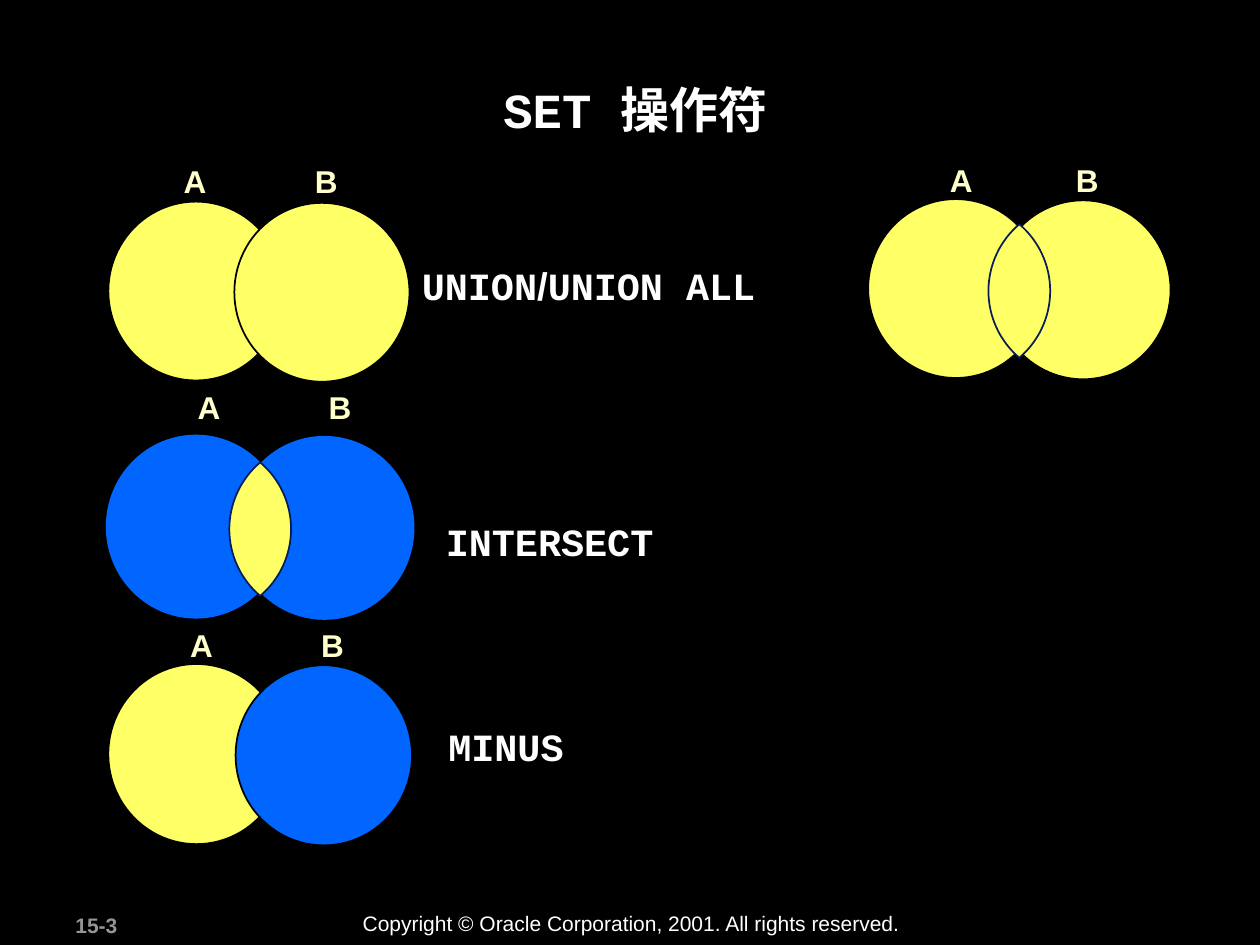
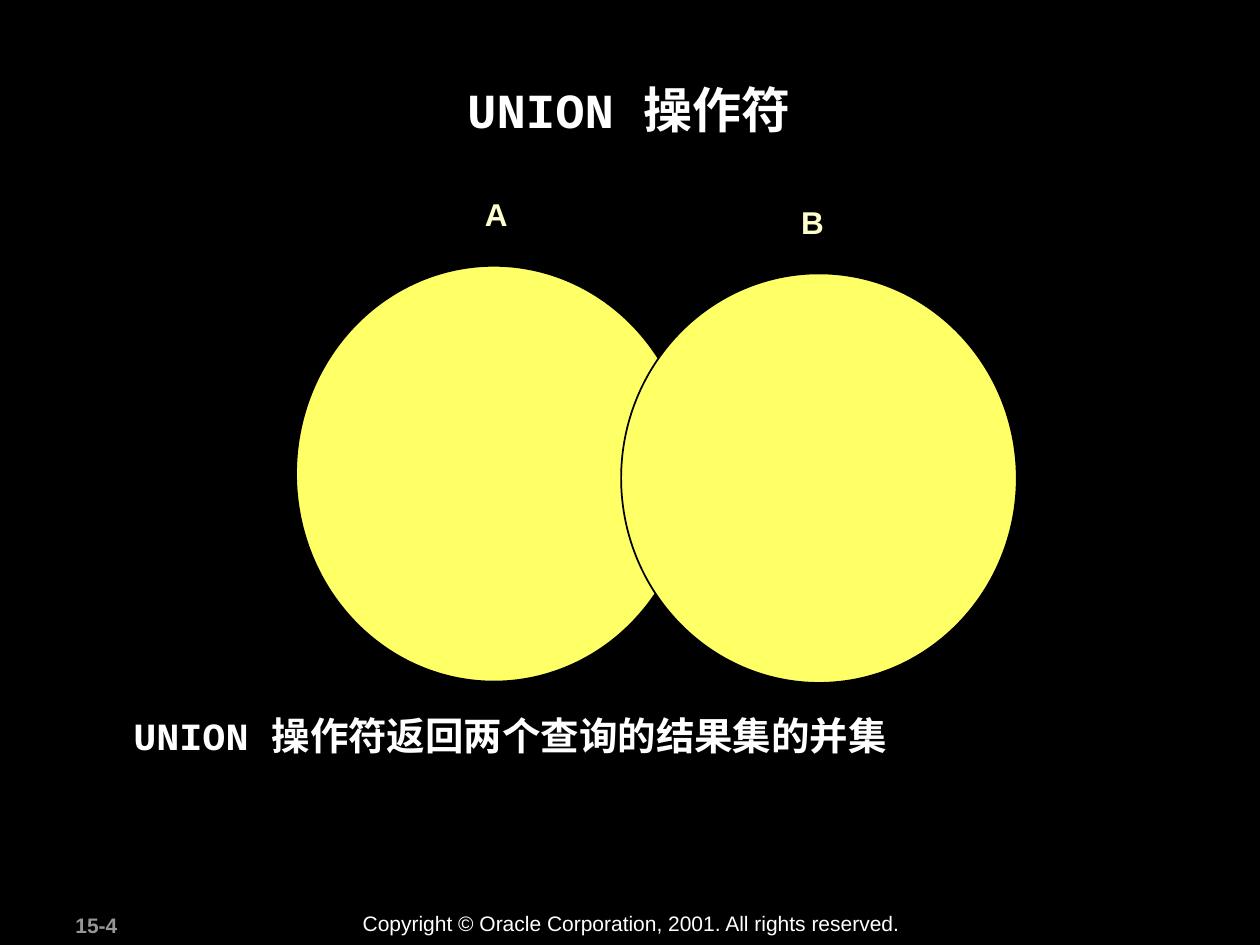
from dataclasses import dataclass
from math import asin, cos, pi, sin

from pptx import Presentation
from pptx.dml.color import RGBColor
from pptx.enum.shapes import MSO_SHAPE
from pptx.enum.text import PP_ALIGN
from pptx.util import Inches, Pt

COLORS = {
    "background": "000000",
    "text": "FFFFFF",
    "label": "FFFFCC",
    "number": "969696",
    "result": "FFFF66",
    "excluded": "0066FF",
    "lens_edge": "081D58",
}
SANS, MONO = "Arial", "Courier New"
LENS_SIZE = (0.49, 1.06)
LENS_DROP = 0.02
ARC_STEPS = 32


@dataclass
class Venn:
    """Two overlapping sets; every offset is relative to the origin."""
    origin: tuple
    size_a: tuple
    step: tuple
    label_at: tuple
    label_step: tuple
    fills: tuple = ("result", "result")
    edge: str = "background"
    size_b: tuple = None
    lens: bool = False


SET_VENNS = [
    Venn((0.86, 1.6), (1.39, 1.42), (1, 0.01), (0.5, -0.36), (1.04, 0)),
    Venn((6.89, 1.58), (1.39, 1.42), (1.01, 0.01), (0.55, -0.35), (1, 0),
         lens=True),
    Venn((0.84, 3.45), (1.43, 1.46), (1.02, 0.01), (0.63, -0.42), (1.04, 0),
         fills=("excluded", "excluded"), edge=None, lens=True),
    Venn((0.86, 5.27), (1.4, 1.43), (1.01, 0.01), (0.55, -0.35), (1.04, 0),
         fills=("result", "excluded")),
]
UNION_VENN = Venn((2.35, 2.11), (3.14, 3.3), (2.58, 0.06), (1.4, -0.61),
                  (2.51, 0.06), size_b=(3.14, 3.25))
OPERATORS = [
    ((3.25, 2.03, 3.7, 0.47),
     [("UNION", MONO), ("/", SANS), ("UNION ALL", MONO)]),
    ((3.44, 4.06, 1.85, 0.47), [("INTERSECT", MONO)]),
    ((3.46, 5.69, 1.12, 0.47), [("MINUS", MONO)]),
]


def rgb(name):
    return RGBColor.from_string(COLORS[name])


def add_text(slide, box, parts, size, color="text", bold=True,
             align=PP_ALIGN.LEFT, wrap=True):
    """Write one paragraph made of (text, font name) parts."""
    frame = slide.shapes.add_textbox(*map(Inches, box)).text_frame
    frame.word_wrap = wrap
    paragraph = frame.paragraphs[0]
    paragraph.alignment = align
    paragraph.font.size = Pt(size)
    paragraph.font.bold = bold
    paragraph.font.color.rgb = rgb(color)
    for text, font_name in parts:
        run = paragraph.add_run()
        run.text = text
        run.font.name = font_name
    return paragraph


def paint(shape, fill, edge):
    shape.shadow.inherit = False
    shape.fill.solid()
    shape.fill.fore_color.rgb = rgb(fill)
    if edge:
        shape.line.color.rgb = rgb(edge)
        shape.line.width = Pt(1)
    else:
        shape.line.fill.background()


def draw_lens(slide, center_x, center_y):
    """Draw the intersection as two mirrored circular arcs."""
    width, height = LENS_SIZE
    radius = (width ** 2 + height ** 2) / (4 * width)
    half_angle = asin(height / 2 / radius)
    shift = radius - width / 2
    points = []
    for side, start in ((-1, -half_angle), (1, pi - half_angle)):
        for i in range(ARC_STEPS):
            angle = start + 2 * half_angle * i / ARC_STEPS
            points.append((Inches(center_x + side * shift + radius * cos(angle)),
                           Inches(center_y + radius * sin(angle))))
    builder = slide.shapes.build_freeform(*points[0], scale=1.0)
    builder.add_line_segments(points[1:], close=True)
    paint(builder.convert_to_shape(), "result", "lens_edge")


def draw_venn(slide, venn):
    left, top = venn.origin
    sizes = (venn.size_a, venn.size_b or venn.size_a)
    for i, letter in enumerate("AB"):
        circle = slide.shapes.add_shape(
            MSO_SHAPE.OVAL,
            Inches(left + i * venn.step[0]), Inches(top + i * venn.step[1]),
            *map(Inches, sizes[i]))
        paint(circle, venn.fills[i], venn.edge)
        label_left = left + venn.label_at[0] + i * venn.label_step[0]
        label_top = top + venn.label_at[1] + i * venn.label_step[1]
        add_text(slide, (label_left, label_top, 0.38, 0.4), [(letter, SANS)],
                 18, "label", wrap=False)
    if venn.lens:
        draw_lens(slide, left + (venn.step[0] + venn.size_a[0]) / 2,
                  top + venn.size_a[1] / 2 + LENS_DROP)


def new_slide(prs, number, title):
    """Start a slide with the shared background, footer and title."""
    slide = prs.slides.add_slide(prs.slide_layouts[6])
    slide.background.fill.solid()
    slide.background.fill.fore_color.rgb = rgb("background")
    add_text(slide, (0.5, 7.19, 1.05, 0.3), [(number, SANS)], 12, "number")
    add_text(slide, (2.78, 7.18, 4.48, 0.3),
             [("Copyright © Oracle Corporation, 2001. All rights reserved.", SANS)],
             12, bold=False)
    add_text(slide, (0.94, 0.58, 8.1, 0.96), title, 28, align=PP_ALIGN.CENTER)
    return slide


def build_set_operators(prs):
    slide = new_slide(prs, "15-3",
                      [(" ", SANS), ("SET ", MONO), ("操作符", SANS)])
    for venn in SET_VENNS:
        draw_venn(slide, venn)
    for box, parts in OPERATORS:
        add_text(slide, box, parts, 22)


def build_union(prs):
    slide = new_slide(prs, "15-4", [("UNION ", MONO), ("操作符", SANS)])
    draw_venn(slide, UNION_VENN)
    summary = add_text(slide, (0.96, 5.63, 8.08, 0.45),
                       [("UNION ", MONO),
                        ("操作符返回两个查询的结果集的并集", SANS)], 22)
    summary.line_spacing = 0.95


def main():
    prs = Presentation()
    prs.slide_width, prs.slide_height = Inches(10), Inches(7.5)
    build_set_operators(prs)
    build_union(prs)
    prs.save("out.pptx")


if __name__ == "__main__":
    main()
